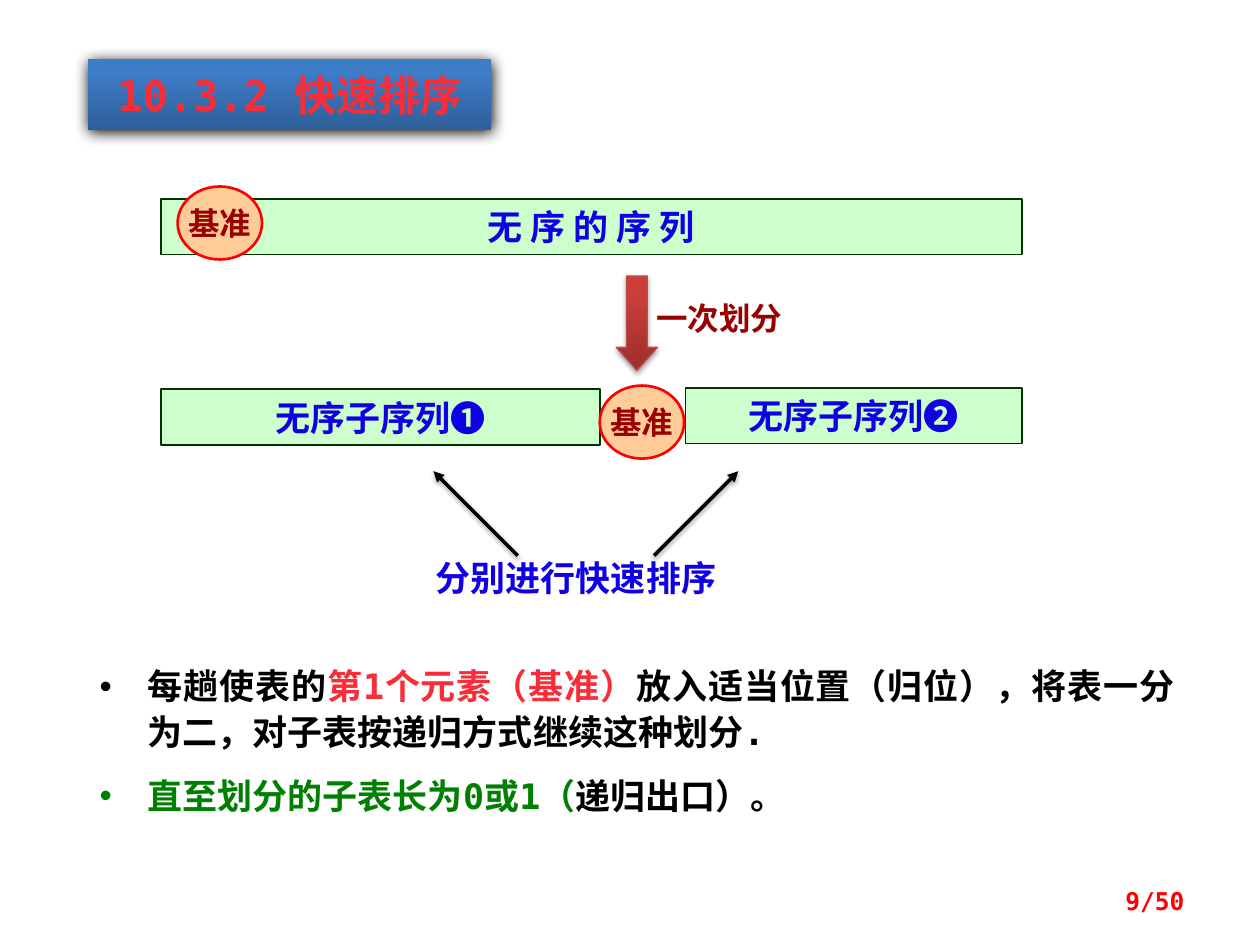
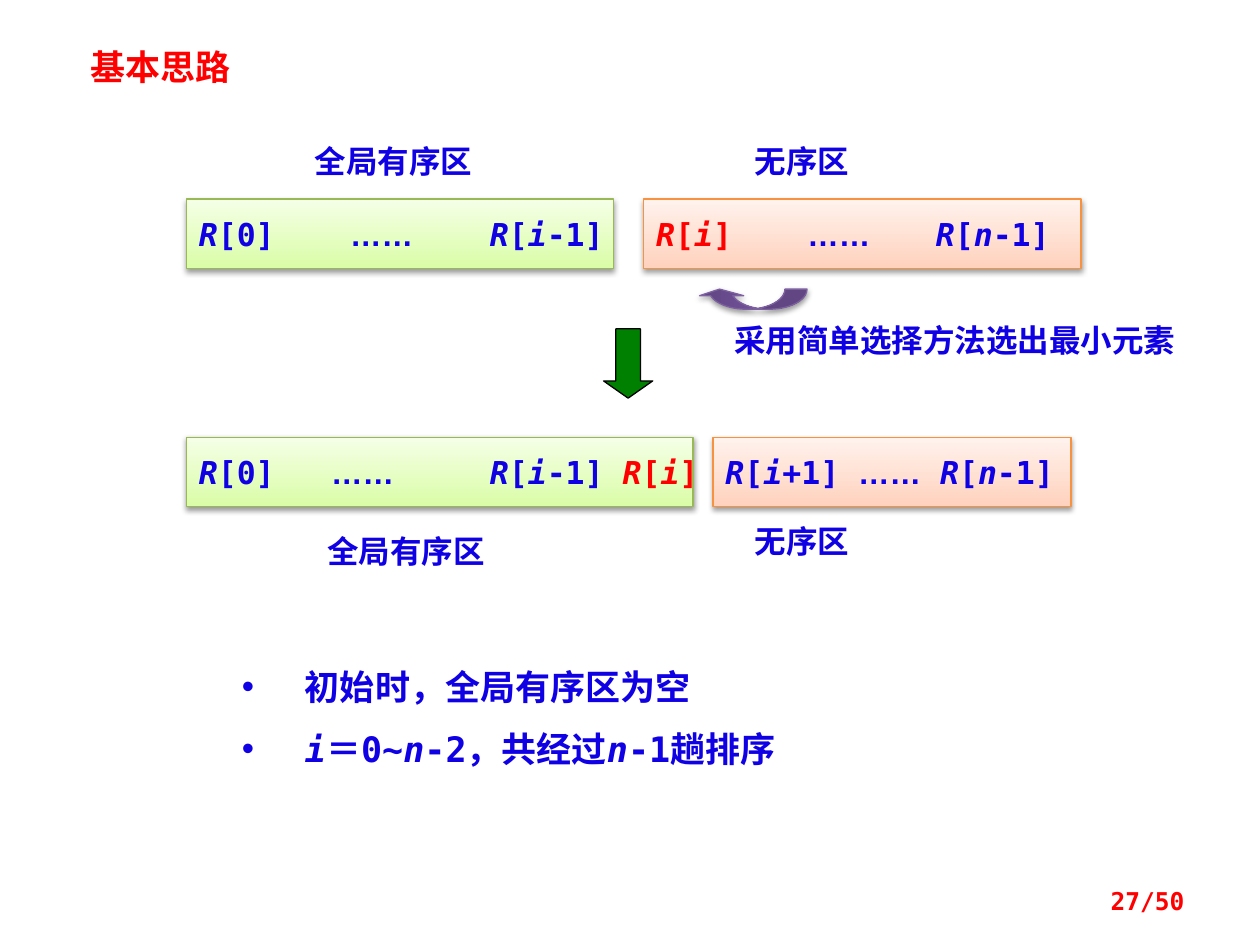
from dataclasses import dataclass
from itertools import groupby

from lxml.etree import SubElement
from pptx import Presentation
from pptx.dml.color import RGBColor
from pptx.enum.shapes import MSO_CONNECTOR as Connector, MSO_SHAPE as Shape
from pptx.enum.text import MSO_ANCHOR as Anchor, MSO_AUTO_SIZE as AutoSize, PP_ALIGN as Align
from pptx.oxml.ns import qn
from pptx.util import Inches, Pt


@dataclass(frozen=True)
class Theme:
    mono: str = "DejaVu Sans Mono"
    cjk: str = "Noto Sans CJK SC"
    dots: str = "Arial"
    blue: str = "1000E4"
    red: str = "FF0000"
    soft_red: str = "F92D37"
    dark_red: str = "990000"
    black: str = "000000"
    green: str = "008000"
    mint: str = "CCFFCC"
    forest: str = "003300"
    peach: str = "FFCC99"
    # gradients run upwards: bottom colour, top colour, where the top colour is reached
    banner: tuple = ("2F5F99", "3D7CC7", 0.8)
    red_arrow: tuple = ("9C2F2D", "CB3E3A", 0.8)
    purple_arrow: tuple = ("5F4480", "7B58A6", 0.8)
    sorted_fill: tuple = ("DAFDA7", "F5FFE7", 1)
    unsorted_fill: tuple = ("FFD2BD", "FFF2ED", 1)
    # shadows: opacity in percent, blur and distance in points
    banner_shadow: tuple = (100, 8.5, 1)
    soft_shadow: tuple = (38, 3.1, 1.6)
    heading: int = 24
    text: int = 20
    label: int = 18
    page: int = 14


THEME = Theme()


@dataclass(frozen=True)
class Box:
    left: float
    top: float
    width: float
    height: float

    def inner(self, left, top, width, height):
        return Box(self.left + left, self.top + top, width, height)

    def lengths(self):
        return [Inches(value) for value in (self.left, self.top, self.width, self.height)]


# ---- formatting ----
def set_shadow(shape, shadow=None):
    effects = SubElement(shape._element.spPr, qn("a:effectLst"))
    if shadow:
        opacity, blur, distance = shadow
        outer = SubElement(effects, qn("a:outerShdw"), blurRad=str(Pt(blur)),
                           dist=str(Pt(distance)), dir="5400000", rotWithShape="0")
        color = SubElement(outer, qn("a:srgbClr"), val=THEME.black)
        SubElement(color, qn("a:alpha"), val=str(opacity * 1000))


def set_fill(shape, fill):
    if isinstance(fill, str):
        shape.fill.solid()
        shape.fill.fore_color.rgb = RGBColor.from_string(fill)
        return
    bottom, top, end = fill
    shape.fill.gradient()
    shape.fill.gradient_angle = 90
    for stop, color, position in zip(shape.fill.gradient_stops, (bottom, top), (0, end)):
        stop.color.rgb = RGBColor.from_string(color)
        stop.position = position


def add_run(paragraph, text, size, color, font=THEME.mono, italic=False):
    run = paragraph.add_run()
    run.text = text
    run.font.size = Pt(size)
    run.font.bold = True
    run.font.italic = italic
    run.font.color.rgb = RGBColor.from_string(color)
    run.font.name = font
    SubElement(run._r.get_or_add_rPr(), qn("a:ea"), typeface=font)


def add_code(paragraph, text, size, color):
    """Set variables in italics and ellipses in their own font."""
    def kind(letter):
        return "variable" if letter in "Rin" else "dots" if letter == "…" else "plain"

    for name, letters in groupby(text, kind):
        font = THEME.dots if name == "dots" else THEME.mono
        add_run(paragraph, "".join(letters), size, color, font, name == "variable")


def set_frame(shape, wrap=True, anchor=Anchor.MIDDLE, insets=(0.1, 0.05)):
    frame = shape.text_frame
    frame.auto_size = AutoSize.NONE
    frame.word_wrap = wrap
    frame.vertical_anchor = anchor
    frame.margin_left = frame.margin_right = Inches(insets[0])
    frame.margin_top = frame.margin_bottom = Inches(insets[1])
    return frame


# ---- building blocks ----
def add_figure(slide, kind, box, fill, line, width=0.75, shadow=None, adjustments=()):
    shape = slide.shapes.add_shape(kind, *box.lengths())
    for index, value in enumerate(adjustments):
        shape.adjustments[index] = value
    set_fill(shape, fill)
    shape.line.color.rgb = RGBColor.from_string(line)
    shape.line.width = Pt(width)
    set_shadow(shape, shadow)
    return shape


def add_caption(shape, text, size, color, font):
    paragraph = set_frame(shape, wrap=False).paragraphs[0]
    paragraph.alignment = Align.CENTER
    add_run(paragraph, text, size, color, font)


def add_label(slide, box, text, size=THEME.label, color=THEME.blue, font=THEME.mono,
              align=Align.LEFT):
    text_box = slide.shapes.add_textbox(*box.lengths())
    paragraph = set_frame(text_box).paragraphs[0]
    paragraph.alignment = align
    add_run(paragraph, text, size, color, font)


def place(shape, box):
    shape.left, shape.top, shape.width, shape.height = box.lengths()


def set_title(slide, box, text, size, color, font, align):
    title = slide.shapes.title
    place(title, box)
    paragraph = set_frame(title).paragraphs[0]
    paragraph.alignment = align
    add_run(paragraph, text, size, color, font)
    return title


def open_list(slide, box, count, indent, space, align=Align.LEFT, line_spacing=1.0):
    """Prepare the body placeholder and return its bulleted paragraphs."""
    body = slide.placeholders[1]
    place(body, box)
    frame = set_frame(body, anchor=Anchor.TOP, insets=(0.1, 0.12))
    frame.margin_left = Inches(0.2)
    paragraphs = [frame.paragraphs[0]] + [frame.add_paragraph() for _ in range(count - 1)]
    for index, paragraph in enumerate(paragraphs):
        properties = paragraph._p.get_or_add_pPr()
        properties.set("marL", str(Inches(indent)))
        properties.set("indent", str(-Inches(indent)))
        paragraph.alignment = align
        paragraph.line_spacing = line_spacing
        paragraph.space_before = Pt(space if index else 0)
    return paragraphs


def add_page_number(slide, number):
    add_label(slide, Box(7.17, 6.95, 2.33, 0.4), f"{number}/50", THEME.page, THEME.red,
              align=Align.RIGHT)


# ---- quick sort ----
def add_sequence(slide, box, text):
    bar = add_figure(slide, Shape.RECTANGLE, box, THEME.mint, THEME.forest, 1)
    add_caption(bar, text, THEME.text, THEME.blue, THEME.cjk)


def add_pivot(slide, box):
    pivot = add_figure(slide, Shape.OVAL, box, THEME.peach, THEME.red, 1.5)
    add_caption(pivot, "基准", THEME.label, THEME.dark_red, THEME.mono)


def add_pointer(slide, start, end):
    pointer = slide.shapes.add_connector(
        Connector.STRAIGHT, *[Inches(value) for value in (*start, *end)])
    pointer.line.color.rgb = RGBColor.from_string(THEME.black)
    pointer.line.width = Pt(2)
    SubElement(pointer.line._get_or_add_ln(), qn("a:tailEnd"), type="triangle")
    set_shadow(pointer, THEME.soft_shadow)


def add_partition_diagram(slide, box):
    # whole sequence
    add_sequence(slide, box.inner(0, 0.1, box.width, 0.44), "无 序 的 序 列")
    add_pivot(slide, box.inner(0.13, 0, 0.67, 0.58))

    # one partition
    add_figure(slide, Shape.DOWN_ARROW, box.inner(3.61, 0.71, 0.33, 0.75), THEME.red_arrow,
               "BF4C48", shadow=THEME.soft_shadow, adjustments=(0.5, 0.56))
    add_label(slide, box.inner(3.83, 0.84, 1.3, 0.4), "一次划分", color=THEME.dark_red,
              font=THEME.cjk)

    # two subsequences around the pivot
    add_sequence(slide, box.inner(0, 1.61, 3.48, 0.44), "无序子序列❶")
    add_sequence(slide, box.inner(4.16, 1.6, 2.67, 0.44), "无序子序列❷")
    add_pivot(slide, box.inner(3.48, 1.58, 0.67, 0.58))

    # recursive step
    middle = box.left + 3.37
    for side in (-1, 1):
        add_pointer(slide, (middle + side * 0.54, box.top + 2.93),
                    (middle + side * 1.21, box.top + 2.26))
    add_label(slide, box.inner(2.08, 2.88, 2.5, 0.44), "分别进行快速排序", THEME.text,
              font=THEME.cjk)


def build_quick_sort(slide):
    title = set_title(slide, Box(0.7, 0.47, 3.2, 0.56), "10.3.2 快速排序", THEME.heading,
                      THEME.soft_red, THEME.mono, Align.CENTER)
    set_fill(title, THEME.banner)
    set_shadow(title, THEME.banner_shadow)
    add_partition_diagram(slide, Box(1.28, 1.48, 6.83, 3.32))

    points = (
        (("每趟使表的", THEME.black),
         ("第1个元素（基准）", THEME.soft_red),
         ("放入适当位置（归位），将表一分为二，对子表按递归方式继续这种划分.", THEME.black)),
        (("直至划分的子表长为0或1（", THEME.green), ("递归出口）。", THEME.black)),
    )
    paragraphs = open_list(slide, Box(0.59, 5.13, 8.83, 1.48), len(points), 0.38, 10.5,
                           Align.JUSTIFY, Pt(26))
    for paragraph, runs in zip(paragraphs, points):
        for text, color in runs:
            add_run(paragraph, text, THEME.text, color)
    add_page_number(slide, 9)


# ---- selection sort ----
def add_region(slide, box, fill, line, runs, tabs=()):
    region = add_figure(slide, Shape.RECTANGLE, box, fill, line, shadow=THEME.soft_shadow)
    paragraph = set_frame(region, wrap=False).paragraphs[0]
    paragraph.alignment = Align.LEFT
    if tabs:
        stops = SubElement(paragraph._p.get_or_add_pPr(), qn("a:tabLst"))
        for position in tabs:
            SubElement(stops, qn("a:tab"), pos=str(Inches(position)), algn="l")
    for text, color in runs:
        add_code(paragraph, text, THEME.label, color)


def add_selection_diagram(slide, box):
    sorted_style = (THEME.sorted_fill, "98B955")
    unsorted_style = (THEME.unsorted_fill, "F69240")
    blue, red = THEME.blue, THEME.red

    # region names
    for left, top, width, name in ((0.92, 0, 1.69, "全局有序区"), (4.41, 0, 1.26, "无序区"),
                                   (1.02, 3.09, 1.71, "全局有序区"), (4.41, 3.01, 1.26, "无序区")):
        add_label(slide, box.inner(left, top, width, 0.4), name)

    # before the pass
    add_region(slide, box.inner(0, 0.5, 3.39, 0.55), *sorted_style,
               [("R[0]\t……\tR[i-1]", blue)], (1.2, 2.31))
    add_region(slide, box.inner(3.63, 0.5, 3.47, 0.55), *unsorted_style,
               [("R[i]", red), ("\t……\tR[n-1]", blue)], (1.2, 2.22))

    # after the pass
    add_region(slide, box.inner(0, 2.39, 4.02, 0.55), *sorted_style,
               [("R[0]\t……\tR[i-1] ", blue), ("R[i]", red)], (1.05, 2.31))
    add_region(slide, box.inner(4.18, 2.39, 2.84, 0.55), *unsorted_style,
               [("R[i+1] …… R[n-1]", blue)])

    # selection of the smallest element
    curve = add_figure(slide, Shape.CURVED_LEFT_ARROW, box.inner(4.41, 0.86, 0.16, 0.87),
                       THEME.purple_arrow, "7D60A0", shadow=THEME.soft_shadow,
                       adjustments=(1.1, 2.19, 0.33))
    curve.rotation = 90
    add_figure(slide, Shape.DOWN_ARROW, box.inner(3.31, 1.53, 0.39, 0.55), THEME.green,
               THEME.black, adjustments=(0.5, 0.35))
    add_label(slide, box.inner(4.25, 1.42, 3.88, 0.4), "采用简单选择方法选出最小元素")


def build_selection_sort(slide):
    set_title(slide, Box(0.62, 0.31, 1.8, 0.44), "基本思路", THEME.text, THEME.red,
              THEME.cjk, Align.LEFT)
    add_selection_diagram(slide, Box(1.48, 1.08, 7.1, 3.49))

    points = ("初始时，全局有序区为空", "i＝0~n-2，共经过n-1趟排序")
    paragraphs = open_list(slide, Box(1.72, 5.16, 5.43, 1.08), len(points), 0.5, 11.5)
    for paragraph, text in zip(paragraphs, points):
        add_code(paragraph, text, THEME.text, THEME.blue)
    add_page_number(slide, 27)


def main():
    presentation = Presentation()
    presentation.slide_width = Inches(10)
    presentation.slide_height = Inches(7.5)
    layout = presentation.slide_layouts[1]
    for build in (build_quick_sort, build_selection_sort):
        build(presentation.slides.add_slide(layout))
    presentation.save("out.pptx")


if __name__ == "__main__":
    main()
